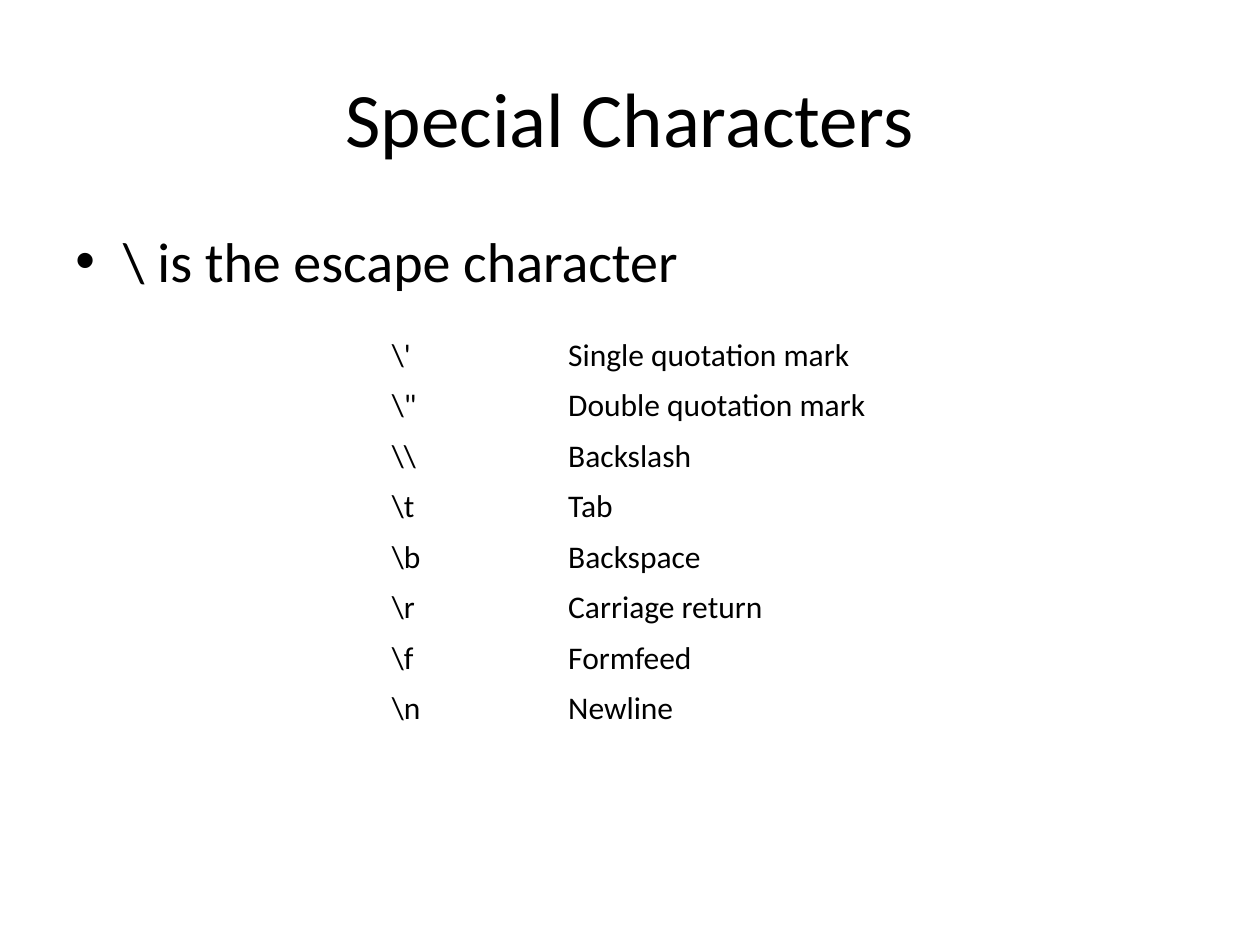
from lxml import etree
from pptx import Presentation
from pptx import util as u
from pptx.dml.color import RGBColor
from pptx.enum import text
from pptx.oxml import ns

FONT = "Calibri"
INK = "000000"
ESCAPES = [
    (r"\'", "Single quotation mark"),
    (r'\"', "Double quotation mark"),
    (r"\\", "Backslash"),
    (r"\t", "Tab"),
    (r"\b", "Backspace"),
    (r"\r", "Carriage return"),
    (r"\f", "Formfeed"),
    (r"\n", "Newline"),
]


def color(value):
    """Return the colour for a hex string."""
    return RGBColor.from_string(value)


def write(frame, words, size, align=text.PP_ALIGN.LEFT):
    """Put one styled paragraph in a text frame and return it."""
    frame.word_wrap = True
    para = frame.paragraphs[0]
    para.text = words
    para.alignment = align
    para.font.name = FONT
    para.font.size = u.Pt(size)
    para.font.color.rgb = color(INK)
    return para


def add_title(page, left, top, width, height):
    """Place the slide title in its placeholder."""
    title = page.shapes.title
    title.left, title.top = u.Inches(left), u.Inches(top)
    title.width, title.height = u.Inches(width), u.Inches(height)
    title.text_frame.vertical_anchor = text.MSO_ANCHOR.MIDDLE
    write(title.text_frame, "Special Characters", 44, text.PP_ALIGN.CENTER)


def add_statement(page, left, top, width, height):
    """Place the bulleted statement above the table."""
    box = page.shapes.add_textbox(*map(u.Inches, (left, top, width, height)))
    para = write(box.text_frame, r"\ is the escape character", 32)
    para.space_before = u.Pt(6.4)
    props = para._p.get_or_add_pPr()
    indent = u.Inches(0.38)
    props.set("marL", str(indent))
    props.set("indent", str(-indent))
    etree.SubElement(props, ns.qn("a:buFont")).set("typeface", "Arial")
    etree.SubElement(props, ns.qn("a:buChar")).set("char", "•")
    defaults = props.find(ns.qn("a:defRPr"))
    if defaults is not None:
        props.append(defaults)


def add_escape_table(page, left, top, widths, row_height):
    """Place the table of escape sequences and their meanings."""
    frame = page.shapes.add_table(
        len(ESCAPES), len(widths), u.Inches(left), u.Inches(top),
        u.Inches(sum(widths)), u.Inches(row_height * len(ESCAPES)))
    table = frame.table
    table.first_row = table.horz_banding = False
    for column, width in zip(table.columns, widths):
        column.width = u.Inches(width)
    for row, entry in zip(table.rows, ESCAPES):
        row.height = u.Inches(row_height)
        for cell, words in zip(row.cells, entry):
            cell.fill.background()
            write(cell.text_frame, words, 18)


def main():
    """Build and save the deck."""
    deck = Presentation()
    deck.slide_width, deck.slide_height = u.Inches(10), u.Inches(7.5)
    page = deck.slides.add_slide(deck.slide_layouts.get_by_name("Title Only"))
    add_title(page, 0.5, 0.3, 9, 1.25)
    add_statement(page, 0.5, 1.75, 9, 4.95)
    add_escape_table(page, 3.01, 2.62, (1.4, 2.58), 0.4)
    deck.save("out.pptx")


if __name__ == "__main__":
    main()
